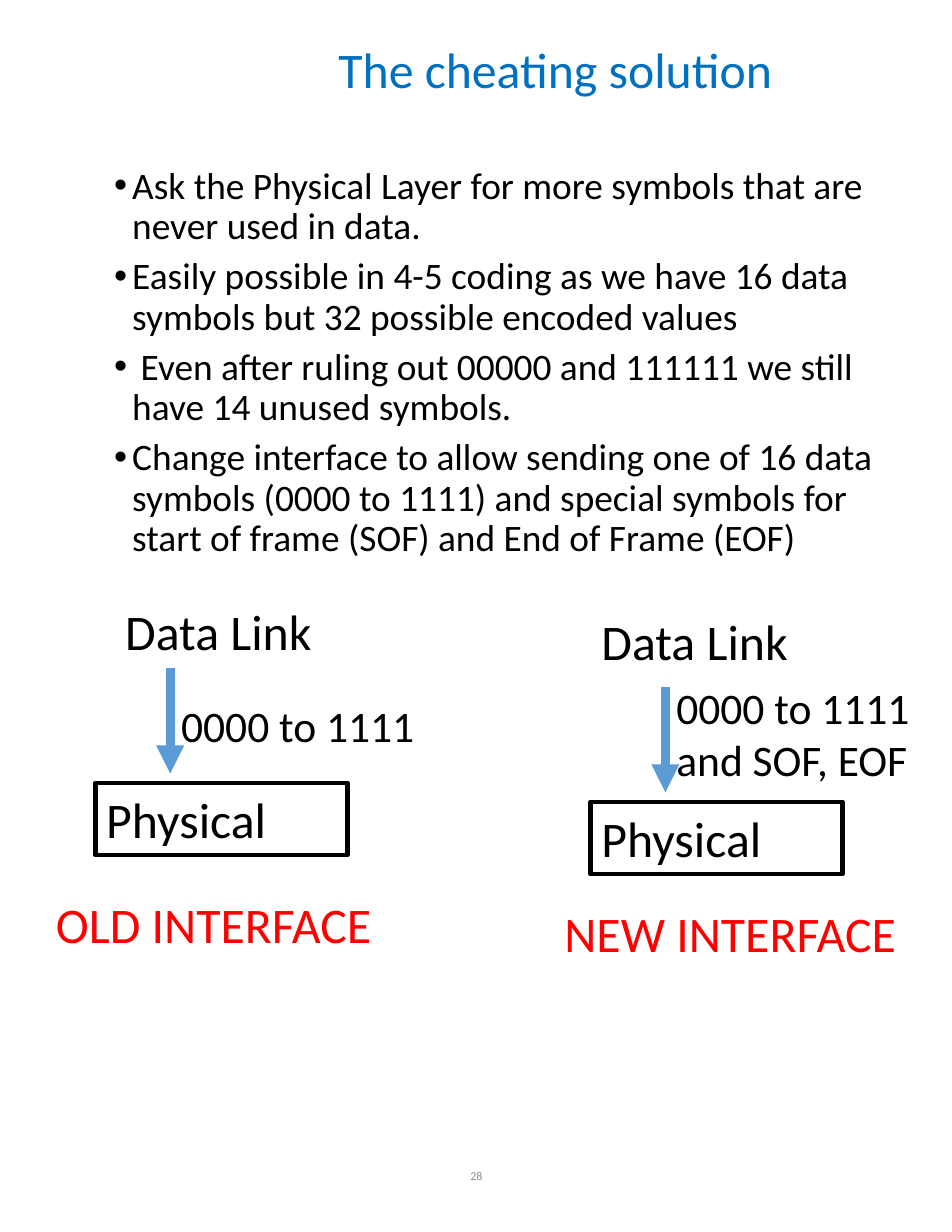
from lxml import etree
from pptx import Presentation
from pptx.dml.color import RGBColor
from pptx.enum.shapes import MSO_CONNECTOR, MSO_SHAPE
from pptx.enum.text import MSO_ANCHOR, MSO_AUTO_SIZE, PP_ALIGN
from pptx.oxml.ns import qn
from pptx.util import Cm, Pt

BLACK = RGBColor(0x00, 0x00, 0x00)
BLUE = RGBColor(0x00, 0x70, 0xC0)
ARROW_BLUE = RGBColor(0x5B, 0x9B, 0xD5)
RED = RGBColor(0xFF, 0x00, 0x00)
GREY = RGBColor(0x8C, 0x8C, 0x8C)
LEFT, CENTER = PP_ALIGN.LEFT, PP_ALIGN.CENTER
TOP, MIDDLE = MSO_ANCHOR.TOP, MSO_ANCHOR.MIDDLE
NO_AUTOFIT = MSO_AUTO_SIZE.NONE
RECTANGLE = MSO_SHAPE.RECTANGLE
STRAIGHT = MSO_CONNECTOR.STRAIGHT
FONT = "Calibri"
TITLE_ONLY = 5
BULLET_INDENT = Cm(0.41)

POINTS = [
    "Ask the Physical Layer for more symbols that are never used in data.",
    "Easily possible in 4-5 coding as we have 16 data symbols but 32 possible encoded values",
    " Even after ruling out 00000 and 111111 we still have 14 unused symbols.",
    "Change interface to allow sending one of 16 data symbols (0000 to 1111) "
    "and special symbols for start of frame (SOF) and End of Frame (EOF)",
]


def write(shape, lines, size=32, color=BLACK, align=LEFT, anchor=TOP, wrap=True,
          spacing=1.0, gap=0, bullet=None):
    """Fill a shape with formatted paragraphs."""
    frame = shape.text_frame
    frame.auto_size = NO_AUTOFIT
    frame.word_wrap = wrap
    frame.vertical_anchor = anchor
    frame.text = "\n".join(lines)
    for index, paragraph in enumerate(frame.paragraphs):
        paragraph.alignment = align
        paragraph.line_spacing = spacing
        paragraph.space_before = Pt(gap if index else 0)
        if bullet:
            properties = paragraph._p.get_or_add_pPr()
            properties.set("marL", str(BULLET_INDENT))
            properties.set("indent", str(-BULLET_INDENT))
            etree.SubElement(properties, qn("a:buFont")).set("typeface", "Arial")
            etree.SubElement(properties, qn("a:buChar")).set("char", bullet)
        paragraph.font.name = FONT
        paragraph.font.size = Pt(size)
        paragraph.font.color.rgb = color


def add_text(slide, box, lines, **style):
    """Add a text box at the given left, top, width and height in cm."""
    write(slide.shapes.add_textbox(*map(Cm, box)), lines, **style)


def add_title(slide, box, text):
    """Place and format the title placeholder."""
    title = slide.shapes.title
    title.left, title.top, title.width, title.height = map(Cm, box)
    write(title, [text], color=BLUE, anchor=MIDDLE, spacing=0.9)


def add_arrow(slide, x, top, bottom):
    """Draw a thick downward arrow."""
    arrow = slide.shapes.add_connector(STRAIGHT, Cm(x), Cm(top), Cm(x), Cm(bottom))
    arrow.line.color.rgb = ARROW_BLUE
    arrow.line.width = Pt(6)
    line = arrow.line._get_or_add_ln()
    etree.SubElement(line, qn("a:tailEnd")).set("type", "triangle")
    etree.SubElement(arrow._element.spPr, qn("a:effectLst"))


def add_interface(slide, left, top, layer_offset, signals, signal_offset,
                  caption, caption_offset):
    """Draw a data link layer sending signals down to a physical layer."""
    layer_width, layer_height = 5.72, 1.63
    arrow_x = left + 1.7
    layer_dx, layer_dy = layer_offset
    caption_dx, caption_dy = caption_offset
    add_text(slide, (left + layer_dx, top + layer_dy, layer_width, layer_height),
             ["Data Link"])

    physical = slide.shapes.add_shape(RECTANGLE, Cm(left), Cm(top + 2.62),
                                      Cm(layer_width), Cm(layer_height))
    physical.shadow.inherit = False
    physical.fill.background()
    physical.line.color.rgb = BLACK
    physical.line.width = Pt(3)
    write(physical, ["Physical"])

    add_arrow(slide, arrow_x, top, top + 2.4)
    add_text(slide, (arrow_x, top + signal_offset, 5.87, 0.25 + 1.2 * len(signals)),
             signals, size=28, wrap=False)
    add_text(slide, (left + caption_dx, top + caption_dy, 8.2, layer_height),
             [caption], color=RED, wrap=False)


def main():
    """Build and save the slide."""
    presentation = Presentation()
    presentation.slide_width, presentation.slide_height = Cm(21.59), Cm(27.94)
    slide = presentation.slides.add_slide(presentation.slide_layouts[TITLE_ONLY])
    add_title(slide, (7.42, -1.07, 18.62, 5.41), "The cheating solution")
    add_text(slide, (2.34, 3.66, 18.62, 17.73), POINTS, size=24, spacing=0.9,
             gap=6.4, bullet="•")
    add_interface(slide, 2.16, 15.14, (0.43, -1.63), ["0000 to 1111"], 0.58,
                  "OLD INTERFACE", (-1.14, 5))
    add_interface(slide, 13.39, 15.57, (0, -1.85), ["0000 to 1111", "and SOF, EOF"],
                  -0.25, "NEW INTERFACE", (-0.84, 4.78))
    add_text(slide, (7.16, 25.91, 7.29, 1.5), ["28"], size=7.7, color=GREY,
             align=CENTER, anchor=MIDDLE)
    presentation.save("out.pptx")


if __name__ == "__main__":
    main()
